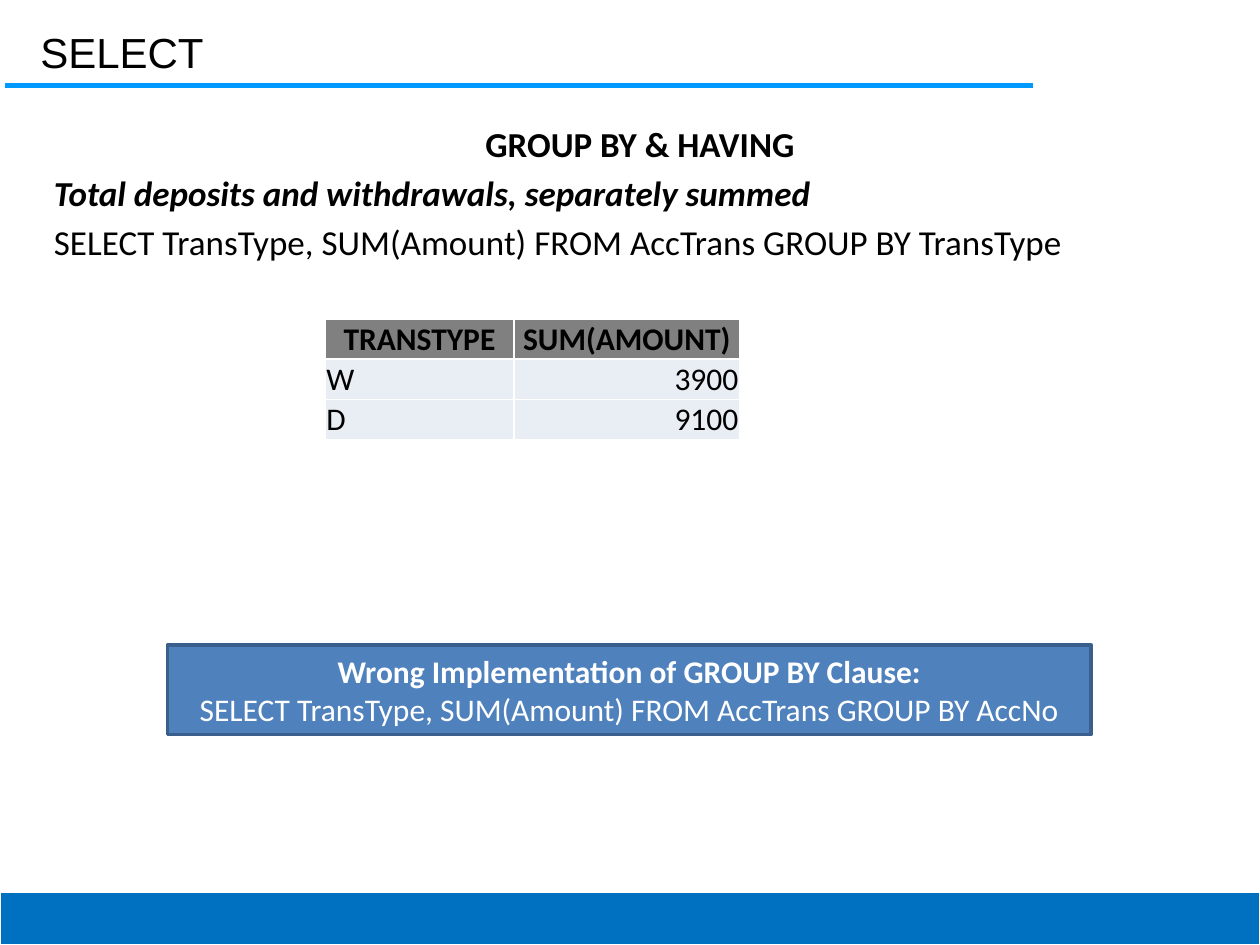
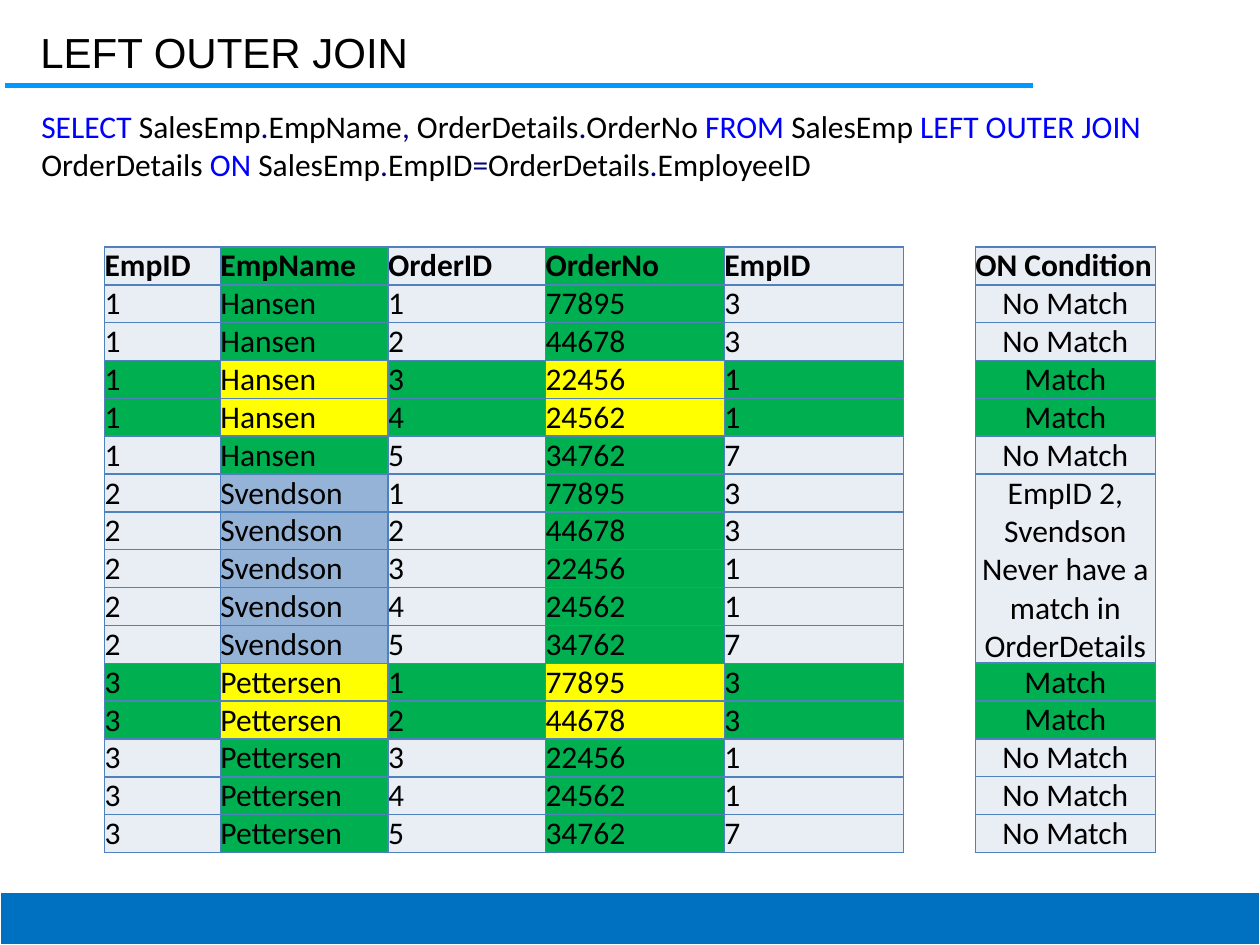
from itertools import product

from lxml import etree
from pptx import Presentation
from pptx.dml.color import RGBColor
from pptx.enum import shapes, text
from pptx.oxml.ns import qn
from pptx.util import Inches, Pt

BLACK = RGBColor(0x00, 0x00, 0x00)
WHITE = RGBColor(0xFF, 0xFF, 0xFF)
RULE_BLUE = RGBColor(0x00, 0x99, 0xFF)
BAND_BLUE = RGBColor(0x00, 0x70, 0xC0)
BOX_BLUE = RGBColor(0x4F, 0x81, 0xBD)
BOX_EDGE = RGBColor(0x3A, 0x5F, 0x8C)
KEYWORD_BLUE = RGBColor(0x00, 0x00, 0xFF)
SYMBOL_NAVY = RGBColor(0x00, 0x00, 0x80)
HEADER_GREY = RGBColor(0x80, 0x80, 0x80)
PALE = RGBColor(0xE9, 0xED, 0xF4)
GREEN = RGBColor(0x00, 0xB0, 0x50)
YELLOW = RGBColor(0xFF, 0xFF, 0x00)
UNMATCHED_BLUE = RGBColor(0x95, 0xB3, 0xD7)

LEFT, CENTER, RIGHT = (text.PP_ALIGN.LEFT, text.PP_ALIGN.CENTER,
                       text.PP_ALIGN.RIGHT)

EMPLOYEES = [(1, "Hansen"), (2, "Svendson"), (3, "Pettersen")]
ORDERS = [(1, 77895, 3), (2, 44678, 3), (3, 22456, 1), (4, 24562, 1),
          (5, 34762, 7)]
JOIN_QUERY = ("SELECT |SalesEmp|.|EmpName|, |OrderDetails|.|OrderNo |FROM |"
              "SalesEmp |LEFT OUTER JOIN |OrderDetails |ON |SalesEmp|.|EmpID|"
              "=|OrderDetails|.|EmployeeID")
KEYWORDS = {"SELECT", "FROM", "LEFT OUTER JOIN", "ON"}
SYMBOLS = {".", ",", "="}
ROW_HEIGHT = 0.3


class Deck:
    def __init__(self):
        self.prs = Presentation()
        self.prs.slide_width, self.prs.slide_height = Inches(10), Inches(7.5)
        self.s = None

    def slide(self, title):
        self.s = self.prs.slides.add_slide(self.prs.slide_layouts[5])
        self.rule()
        self.box((0, 7.08, 10, 0.42), BAND_BLUE, WHITE, 0.75)
        sp = self.s.shapes.title
        sp.left, sp.top, sp.width, sp.height = map(
            Inches, (0.23, 0.17, 7.97, 0.4))
        tf = sp.text_frame
        margins = dict(margin_left=0.09, margin_right=0.09,
                       margin_top=0.04, margin_bottom=0.04)
        for name, value in margins.items():
            setattr(tf, name, Inches(value))
        tf.vertical_anchor = text.MSO_ANCHOR.TOP
        tf.auto_size = text.MSO_AUTO_SIZE.NONE
        self.add_runs(tf.paragraphs[0], [(title, {"name": "Arial"})], size=24)

    def add_runs(self, p, runs, align=LEFT, **shared):
        """Fill a paragraph from (text, font values) pairs."""
        p.alignment = align
        for words, own in runs:
            r = p.add_run()
            r.text = words
            style = {"name": "Calibri", "size": 18, "bold": False,
                     "color": BLACK, **shared, **own}
            r.font.color.rgb = style.pop("color")
            style["size"] = Pt(style["size"])
            for name, value in style.items():
                setattr(r.font, name, value)

    def paragraphs(self, tf, lines, space_before=0, **shared):
        """Put (text, alignment, font values) lines into a text frame."""
        for i, (words, align, style) in enumerate(lines):
            p = tf.add_paragraph() if i else tf.paragraphs[0]
            p.space_before = Pt(space_before)
            self.add_runs(p, [(words, style)], align, **shared)

    def rule(self):
        line = self.s.shapes.add_connector(
            shapes.MSO_CONNECTOR.STRAIGHT,
            *map(Inches, (0.04, 0.68, 8.2, 0.68)))
        line.line.color.rgb = RULE_BLUE
        line.line.width = Pt(2.89)
        etree.SubElement(line._element.spPr, qn("a:effectLst"))

    def box(self, at, fill, edge, edge_width):
        sp = self.s.shapes.add_shape(shapes.MSO_SHAPE.RECTANGLE,
                                     *map(Inches, at))
        sp.shadow.inherit = False
        sp.fill.solid()
        sp.fill.fore_color.rgb = fill
        sp.line.color.rgb = edge
        sp.line.width = Pt(edge_width)
        return sp.text_frame

    def textbox(self, at):
        tf = self.s.shapes.add_textbox(*map(Inches, at)).text_frame
        tf.word_wrap = True
        return tf

    def table(self, left, top, widths, heights, rows, border, inset=0):
        """Draw rows of (text, fill, alignment) cells; the first row is bold."""
        table = self.s.shapes.add_table(
            len(rows), len(widths), *map(
                Inches, (left, top, sum(widths), sum(heights)))).table
        for column, width in zip(table.columns, widths):
            column.width = Inches(width)
        for i, (row, height, cells) in enumerate(
                zip(table.rows, heights, rows)):
            row.height = Inches(height)
            for cell, (words, fill, align) in zip(row.cells, cells):
                for side in ("left", "right", "top"):
                    setattr(cell, f"margin_{side}", Inches(inset))
                cell.margin_bottom = 0
                cell.vertical_anchor = text.MSO_ANCHOR.MIDDLE
                self.borders(cell, border)
                cell.fill.solid()
                cell.fill.fore_color.rgb = fill
                self.add_runs(cell.text_frame.paragraphs[0],
                              [(str(words), {})], align, bold=i == 0)

    def borders(self, cell, color):
        tc_pr = cell._tc.get_or_add_tcPr()
        for side in "LRTB":
            ln = etree.SubElement(tc_pr, qn(f"a:ln{side}"), w=str(Pt(1)))
            fill = etree.SubElement(ln, qn("a:solidFill"))
            etree.SubElement(fill, qn("a:srgbClr"), val=str(color))


def group_by_slide(deck):
    deck.slide("SELECT")
    deck.paragraphs(deck.textbox((0.33, 0.92, 9.5, 1.42)), [
        ("GROUP BY & HAVING", CENTER, {"bold": True}),
        ("Total deposits and withdrawals, separately summed", LEFT,
         {"bold": True, "italic": True}),
        ("SELECT TransType, SUM(Amount) FROM AccTrans GROUP BY TransType",
         LEFT, {}),
    ], space_before=4, size=20)
    rows = [[(name, HEADER_GREY, CENTER)
             for name in ("TRANSTYPE", "SUM(AMOUNT)")]]
    rows += [[(kind, PALE, LEFT), (total, PALE, RIGHT)]
             for kind, total in (("W", 3900), ("D", 9100))]
    deck.table(2.58, 2.53, [1.5, 1.79], [0.32] * 3, rows, WHITE, inset=0.01)
    deck.paragraphs(deck.box((1.33, 5.12, 7.33, 0.71), BOX_BLUE, BOX_EDGE, 2), [
        ("Wrong Implementation of GROUP BY Clause:", CENTER, {"bold": True}),
        ("SELECT TransType, SUM(Amount) FROM AccTrans GROUP BY AccNo",
         CENTER, {}),
    ], color=WHITE)


def query_color(token):
    if token.strip() in KEYWORDS:
        return KEYWORD_BLUE
    return SYMBOL_NAVY if token.strip() in SYMBOLS else BLACK


def join_rows():
    """Pair every employee with every order and colour the matches."""
    headers = ("EmpID", "EmpName", "OrderID", "OrderNo", "EmpID")
    selected = ("EmpName", "OrderNo")
    rows = [[(h, GREEN if h in selected else PALE, LEFT) for h in headers]]
    buyers = {buyer for _, _, buyer in ORDERS}
    for (emp_id, name), (order_id, number, buyer) in product(EMPLOYEES, ORDERS):
        plain, picked = (GREEN, YELLOW) if emp_id == buyer else (PALE, GREEN)
        name_fill = picked if emp_id in buyers else UNMATCHED_BLUE
        values = (emp_id, name, order_id, number, buyer)
        fills = (plain, name_fill, plain, picked, plain)
        rows.append([(v, f, LEFT) for v, f in zip(values, fills)])
    return rows


def condition_rows():
    """Return the condition cells and their heights."""
    rows, heights = [[("ON Condition", PALE, LEFT)]], [ROW_HEIGHT]
    buyers = [buyer for _, _, buyer in ORDERS]
    for emp_id, name in EMPLOYEES:
        if emp_id not in buyers:
            note = f"EmpID {emp_id}, {name} Never have a match in OrderDetails"
            rows.append([(note, PALE, CENTER)])
            heights.append(ROW_HEIGHT * len(ORDERS))
            continue
        for buyer in buyers:
            match = buyer == emp_id
            rows.append([("Match", GREEN, CENTER) if match
                         else ("No Match", PALE, CENTER)])
            heights.append(ROW_HEIGHT)
    return rows, heights


def outer_join_slide(deck):
    deck.slide("LEFT OUTER JOIN")
    tf = deck.textbox((0.23, 0.8, 9.44, 0.71))
    tf.auto_size = text.MSO_AUTO_SIZE.SHAPE_TO_FIT_TEXT
    deck.add_runs(tf.paragraphs[0], [(token, {"color": query_color(token)})
                                     for token in JOIN_QUERY.split("|")])
    rows = join_rows()
    deck.table(0.83, 1.96, [0.92, 1.33, 1.25, 1.42, 1.42],
               [ROW_HEIGHT] * len(rows), rows, BOX_BLUE)
    rows, heights = condition_rows()
    deck.table(7.74, 1.96, [1.43], heights, rows, BOX_BLUE)


def main():
    deck = Deck()
    group_by_slide(deck)
    outer_join_slide(deck)
    deck.prs.save("out.pptx")


if __name__ == "__main__":
    main()
